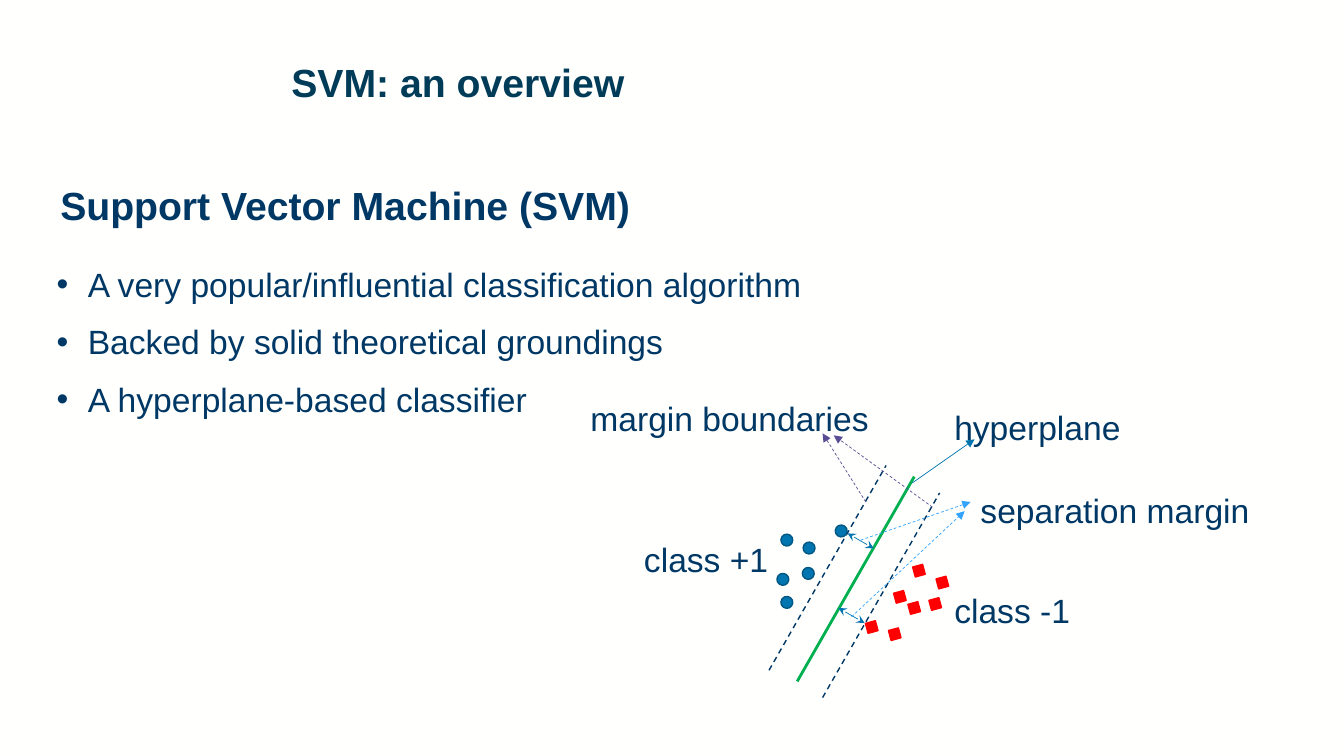
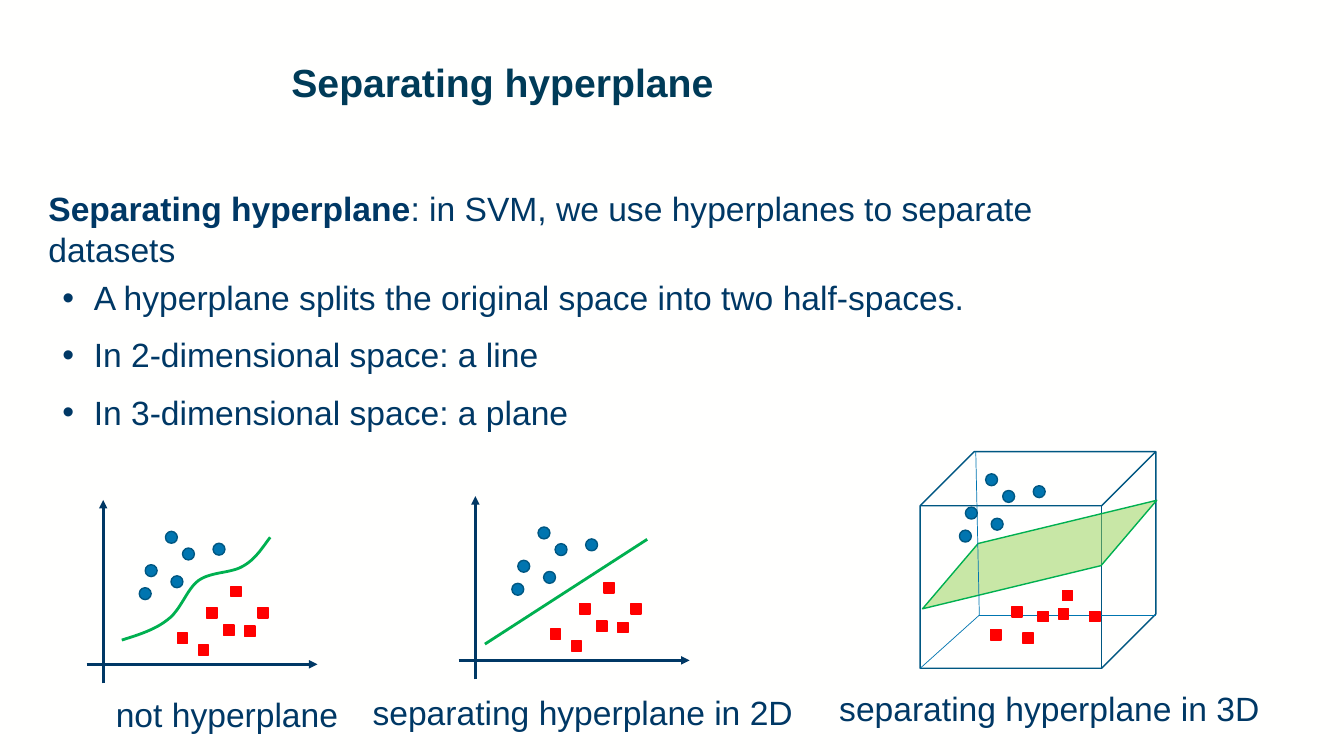
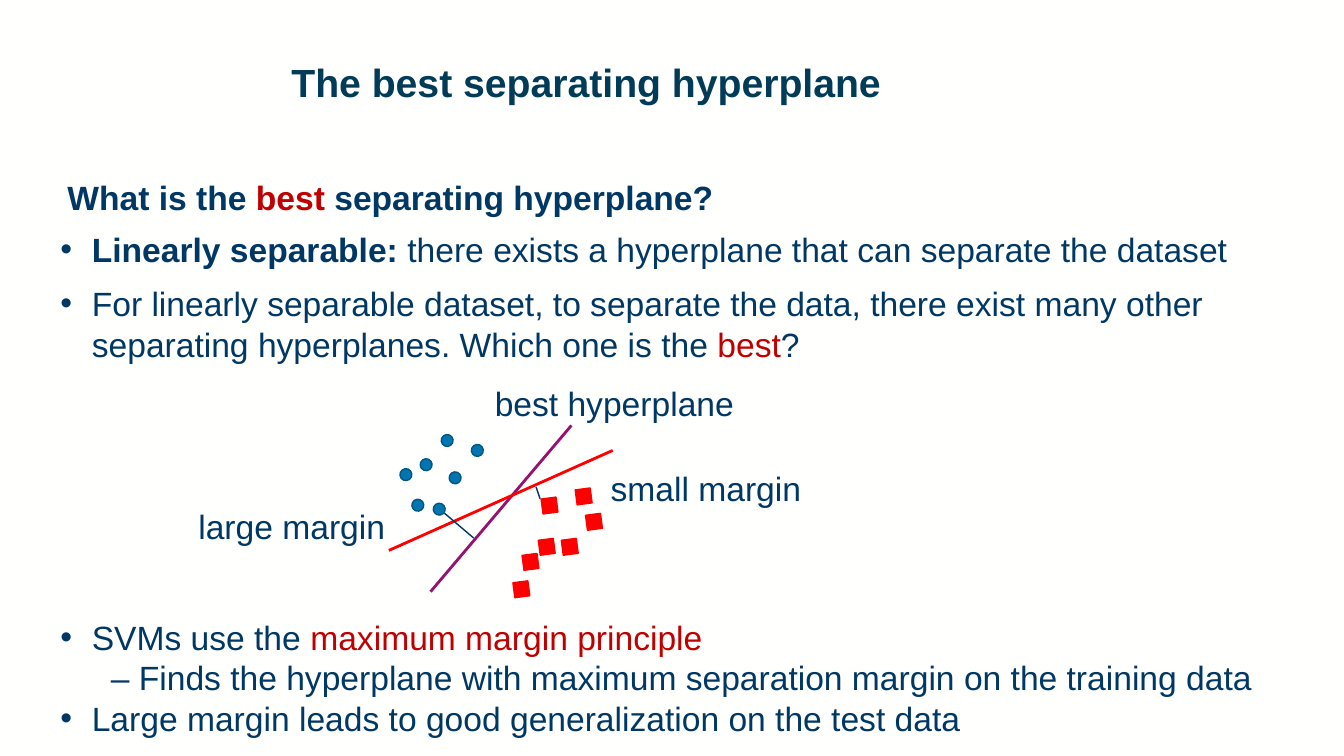
from lxml import etree
from pptx import Presentation
from pptx.dml.color import RGBColor
from pptx.enum.dml import MSO_LINE
from pptx.enum.shapes import MSO_CONNECTOR, MSO_SHAPE
from pptx.enum.text import MSO_ANCHOR, MSO_AUTO_SIZE
from pptx.oxml.ns import qn
from pptx.util import Cm, Pt

FONT = "Arial"
TITLE_COLOUR = "003B58"
NAVY = "003865"
BLUE = "0075B0"
DARK_BLUE = "005782"
LIGHT_BLUE = "32A4FF"
VIOLET = "5B4D93"
PURPLE = "951271"
GREEN = "00B050"
LIME = "92D050"
RED = "FF0000"
DARK_RED = "C00000"
colour = RGBColor.from_string


def write_text(shape, paragraphs, size=24, space=0):
    """Fill a shape; each paragraph is a list of (text, colour, bold) runs."""
    frame = shape.text_frame
    frame.word_wrap = True
    frame.auto_size = MSO_AUTO_SIZE.NONE
    for index, runs in enumerate(paragraphs):
        paragraph = frame.paragraphs[0] if index == 0 else frame.add_paragraph()
        paragraph.space_before = Pt(space if index else 0)
        for text, hex_colour, bold in runs:
            run = paragraph.add_run()
            run.text = text
            run.font.name = FONT
            run.font.size = Pt(size)
            run.font.bold = bold
            run.font.color.rgb = colour(hex_colour)


def add_line(slide, start, end, hex_colour, width, dashed=False, head=None, tail=None):
    """Draw a straight line between two points in centimetres."""
    line = slide.shapes.add_connector(
        MSO_CONNECTOR.STRAIGHT, *[Cm(value) for value in (*start, *end)])
    line.line.color.rgb = colour(hex_colour)
    line.line.width = Pt(width)
    if dashed:
        line.line.dash_style = MSO_LINE.DASH
    properties = line.element.spPr
    outline = properties.find(qn("a:ln"))
    for tag, arrow in (("a:headEnd", head), ("a:tailEnd", tail)):
        if arrow:
            etree.SubElement(outline, qn(tag), type=arrow)
    etree.SubElement(properties, qn("a:effectLst"))


presentation = Presentation()
presentation.slide_width = Cm(33.87)
presentation.slide_height = Cm(19.05)

# Shared background, title style and list indents
master = presentation.slide_master
master.background.fill.solid()
master.background.fill.fore_color.rgb = colour("FFFFFE")
master_title = master.placeholders[0]
master_title.left, master_title.top = Cm(7.09), Cm(1.47)
master_title.width, master_title.height = Cm(25.58), Cm(2.46)
master_title.text_frame.vertical_anchor = MSO_ANCHOR.TOP
master_title.text_frame.auto_size = MSO_AUTO_SIZE.NONE

title_level = master.element.xpath("p:txStyles/p:titleStyle/a:lvl1pPr")[0]
title_level.set("algn", "l")
title_font = title_level.find(qn("a:defRPr"))
title_font.set("sz", "2800")
title_font.set("b", "1")
title_font.find(qn("a:latin")).set("typeface", FONT)
title_fill = title_font.find(qn("a:solidFill"))
title_fill.clear()
etree.SubElement(title_fill, qn("a:srgbClr"), val=TITLE_COLOUR)

list_level = master.element.xpath("p:txStyles/p:bodyStyle/a:lvl1pPr")[0]
list_level.set("marL", str(Cm(0.79)))
list_level.set("indent", str(-Cm(0.79)))

# Slides with titles
slides = []
for title, layout in (("SVM: an overview", 1), ("Separating hyperplane", 1),
                      ("The best separating hyperplane", 3)):
    slide = presentation.slides.add_slide(presentation.slide_layouts[layout])
    slide.shapes.title.text_frame.text = title
    slide.shapes.title.text_frame.paragraphs[0].line_spacing = 0.9
    slides.append(slide)
overview, separating, best = slides

# Bullet lists: slide, placeholder, (left, top, width, height), space, paragraphs
lists = [
    (overview, 1, (1.17, 6.53, 25.3, 4.19), 12, [
        [("A very popular/influential classification algorithm", NAVY, False)],
        [("Backed by solid theoretical groundings", NAVY, False)],
        [("A hyperplane-based classifier", NAVY, False)]]),
    (separating, 1, (1.32, 6.86, 23.44, 4.19), 12, [
        [("A hyperplane splits the original space into two half-spaces.", NAVY, False)],
        [("In 2-dimensional space: a line", NAVY, False)],
        [("In 3-dimensional space: a plane", NAVY, False)]]),
    (best, 1, (1.27, 5.64, 32.08, 3.68), 10, [
        [("Linearly separable: ", NAVY, True),
         ("there exists a hyperplane that can separate the dataset", NAVY, False)],
        [("For linearly separable dataset, to separate the data, there exist many "
          "other separating hyperplanes. Which one is the ", NAVY, False),
         ("best", DARK_RED, False), ("?", NAVY, False)]]),
    (best, 2, (1.27, 15.42, 31.57, 3.33), 0, [
        [("SVMs use the ", NAVY, False), ("maximum margin principle", DARK_RED, False)],
        [("– Finds the hyperplane with maximum separation margin on the training data",
          NAVY, False)],
        [("Large margin leads to good generalization on the test data", NAVY, False)]]),
]
for slide, index, box, space, paragraphs in lists:
    body = slide.placeholders[index]
    body.left, body.top, body.width, body.height = [Cm(value) for value in box]
    write_text(body, paragraphs, space=space)

# The dash in the last list is part of its text, so that line has no bullet
sub_point = best.placeholders[2].text_frame.paragraphs[1]
sub_point.level = 1
sub_properties = sub_point._p.get_or_add_pPr()
sub_properties.set("marL", str(Cm(1.27)))
sub_properties.set("indent", "0")
etree.SubElement(sub_properties, qn("a:buNone"))

# Headings and labels: slide, left, top, width, size, runs
text_boxes = [
    (overview, 1.27, 4.45, 20.6, 28, [("Support Vector Machine (SVM)", NAVY, True)]),
    (separating, 0.97, 4.62, 26.47, 24, [
        ("Separating hyperplane", NAVY, True),
        (": in SVM, we use hyperplanes to separate datasets", NAVY, False)]),
    (best, 1.45, 4.34, 20.6, 24, [
        ("What is the ", NAVY, True), ("best ", DARK_RED, True),
        ("separating hyperplane?", NAVY, True)]),
]
for slide, left, top, width, label in (
        (overview, 15.98, 13.46, 3.81, "class +1"),
        (overview, 23.8, 14.73, 3.81, "class -1"),
        (overview, 24.46, 12.22, 7.75, "separation margin"),
        (overview, 23.8, 10.13, 5.33, "hyperplane"),
        (overview, 14.63, 9.91, 8.33, "margin boundaries"),
        (separating, 2.67, 17.35, 6.12, "not hyperplane"),
        (separating, 9.14, 17.32, 11.76, "separating hyperplane in 2D"),
        (separating, 20.9, 17.22, 11.35, "separating hyperplane in 3D"),
        (best, 15.14, 11.66, 5.64, "small margin"),
        (best, 4.75, 12.62, 5.64, "large margin"),
        (best, 12.22, 9.53, 7.04, "best hyperplane")):
    text_boxes.append((slide, left, top, width, 24, [(label, NAVY, False)]))
for slide, left, top, width, size, runs in text_boxes:
    box = slide.shapes.add_textbox(Cm(left), Cm(top), Cm(width), Cm(1.27))
    write_text(box, [runs], size)

# Overview: hyperplane between its two margin boundaries
for left, bottom, hex_colour, width, dashed in (
        (20.09, 17.17, GREEN, 2, False),
        (20.73, 17.58, NAVY, 1, True),
        (19.38, 16.89, NAVY, 1, True)):
    add_line(overview, (left, bottom), (left + 2.95, bottom - 5.16),
             hex_colour, width, dashed)

# Overview: margin widths and arrows to the labels
for left, top in ((21.36, 13.44), (21.13, 15.32)):
    add_line(overview, (left, top), (left + 0.66, top + 0.38), BLUE, 0.5,
             head="stealth", tail="stealth")
for start, end, hex_colour, dashed in (
        ((21.69, 13.61), (24.46, 12.65), LIGHT_BLUE, True),
        ((21.46, 15.54), (24.31, 12.88), LIGHT_BLUE, True),
        ((22.99, 12.17), (24.56, 11.07), BLUE, False),
        ((21.82, 12.65), (20.73, 10.92), VIOLET, True),
        ((23.5, 12.78), (21.01, 10.97), VIOLET, True)):
    add_line(overview, start, end, hex_colour, 0.5, dashed, tail="triangle")

# Separating hyperplane: cube cut by a plane
cube = separating.shapes.add_shape(
    MSO_SHAPE.CUBE, Cm(23.19), Cm(11.38), Cm(5.94), Cm(5.46))
cube.fill.background()
cube.line.color.rgb = colour(DARK_BLUE)
plane = separating.shapes.add_shape(
    MSO_SHAPE.PARALLELOGRAM, Cm(23.01), Cm(13.34), Cm(6.38), Cm(1.27))
plane.adjustments[0] = 1.378
plane.rotation = 346.4
plane.fill.solid()
plane.fill.fore_color.rgb = colour(LIME)
plane_colour = plane.element.xpath("p:spPr/a:solidFill/a:srgbClr")[0]
etree.SubElement(plane_colour, qn("a:alpha"), val="50000")
plane.line.color.rgb = colour(GREEN)
for shape in (cube, plane):
    shape.line.width = Pt(1)
    shape.shadow.inherit = False
hidden_corner = (24.68, 15.5)
for corner in ((24.59, 11.38), (29.13, 15.5), (23.19, 16.84)):
    add_line(separating, corner, hidden_corner, BLUE, 0.5)

# Separating hyperplane: axes and straight separator
for left, base in ((2.18, 16.74), (11.56, 16.64)):
    add_line(separating, (left, base), (left + 5.82, base), NAVY, 2, tail="triangle")
    add_line(separating, (left + 0.42, base + 0.48), (left + 0.42, base - 4.14),
             NAVY, 2, tail="triangle")
add_line(separating, (12.22, 16.23), (16.31, 13.59), GREEN, 2)

# Separating hyperplane: curved separator, sampled from Bezier segments
curve_start = (3.07, 16.13)
curve_points = []
segment_start = curve_start
for first, second, end in (
        ((3.48, 16.0), (3.89, 15.88), (4.22, 15.62)),
        ((4.55, 15.39), (4.7, 14.86), (5.0, 14.63)),
        ((5.33, 14.4), (5.82, 14.45), (6.12, 14.27)),
        ((6.43, 14.1), (6.6, 13.82), (6.81, 13.54))):
    for step in range(1, 13):
        t = step / 12
        weights = ((1 - t) ** 3, 3 * t * (1 - t) ** 2, 3 * t ** 2 * (1 - t), t ** 3)
        controls = (segment_start, first, second, end)
        curve_points.append(tuple(
            Cm(sum(weight * point[axis] for weight, point in zip(weights, controls)))
            for axis in (0, 1)))
    segment_start = end
builder = separating.shapes.build_freeform(*[Cm(value) for value in curve_start])
builder.add_line_segments(curve_points, close=False)
curve = builder.convert_to_shape()
curve.fill.background()
curve.line.color.rgb = colour(GREEN)
curve.line.width = Pt(2)
curve.shadow.inherit = False

# Best hyperplane: two candidates and their margins
for start, end, hex_colour, width in (
        ((14.4, 10.72), (10.85, 14.91), PURPLE, 2),
        ((15.44, 11.35), (9.8, 13.87), RED, 2),
        ((13.51, 12.27), (13.61, 12.57), NAVY, 1),
        ((11.2, 12.93), (11.94, 13.56), NAVY, 1)):
    add_line(best, start, end, hex_colour, width)

# Data points: offsets within each cluster
plot_circles = [(0.66, 0), (1.09, 0.42), (0.15, 0.84), (0.8, 1.12), (1.86, 0.3), (0, 1.42)]
plot_squares = [(0.74, 0.53), (1.17, 0.97), (1.7, 1), (0, 1.17), (2.03, 0.53),
                (1.35, 0), (0.53, 1.47)]
cube_squares = [(1.19, 0.53), (0.81, 1.07), (1.7, 0.46), (0, 0.99), (2.49, 0.53),
                (1.8, 0), (0.53, 0.41)]
overview_circles = [(0.1, 0.23), (0.66, 0.43), (0, 1.22), (0.64, 1.07), (1.47, 0), (0.1, 1.8)]
overview_squares = [(0.71, 0.66), (1.07, 0.94), (1.6, 0.84), (0, 1.42), (1.78, 0.3),
                    (1.19, 0), (0.58, 1.6)]
best_circles = [(0.51, 0.61), (0, 0.86), (0.84, 1.73), (0.3, 1.63), (1.04, 0),
                (1.8, 0.25), (1.24, 0.94)]
best_squares = [(0.71, 0.23), (1.83, 0.64), (1.22, 1.27), (0.64, 1.27), (0.23, 1.65),
                (1.57, 0), (0, 2.34)]

# Clusters: slide, kind, left, top, size, rotation, offsets
circle = (MSO_SHAPE.OVAL, BLUE, DARK_BLUE)
square = (MSO_SHAPE.RECTANGLE, RED, RED)
for slide, kind, left, top, size, rotation, offsets in (
        (overview, circle, 19.58, 13.23, 0.3, 334.7, overview_circles),
        (overview, square, 21.84, 14.25, 0.26, 344.7, overview_squares),
        (separating, circle, 3.51, 13.39, 0.3, 0, plot_circles),
        (separating, square, 4.47, 14.78, 0.26, 0, plot_squares),
        (separating, circle, 12.9, 13.28, 0.3, 0, plot_circles),
        (separating, square, 13.87, 14.68, 0.26, 0, plot_squares),
        (separating, circle, 24.18, 11.94, 0.3, 0, plot_circles),
        (separating, square, 24.97, 14.88, 0.26, 0, cube_squares),
        (best, circle, 10.08, 10.95, 0.3, 352.6, best_circles),
        (best, square, 12.95, 12.32, 0.38, 352.6, best_squares)):
    outline, fill_colour, line_colour = kind
    for across, down in offsets:
        marker = slide.shapes.add_shape(
            outline, Cm(left + across), Cm(top + down), Cm(size), Cm(size))
        marker.rotation = rotation
        marker.fill.solid()
        marker.fill.fore_color.rgb = colour(fill_colour)
        marker.line.color.rgb = colour(line_colour)
        marker.line.width = Pt(1)
        marker.shadow.inherit = False

presentation.save("out.pptx")
